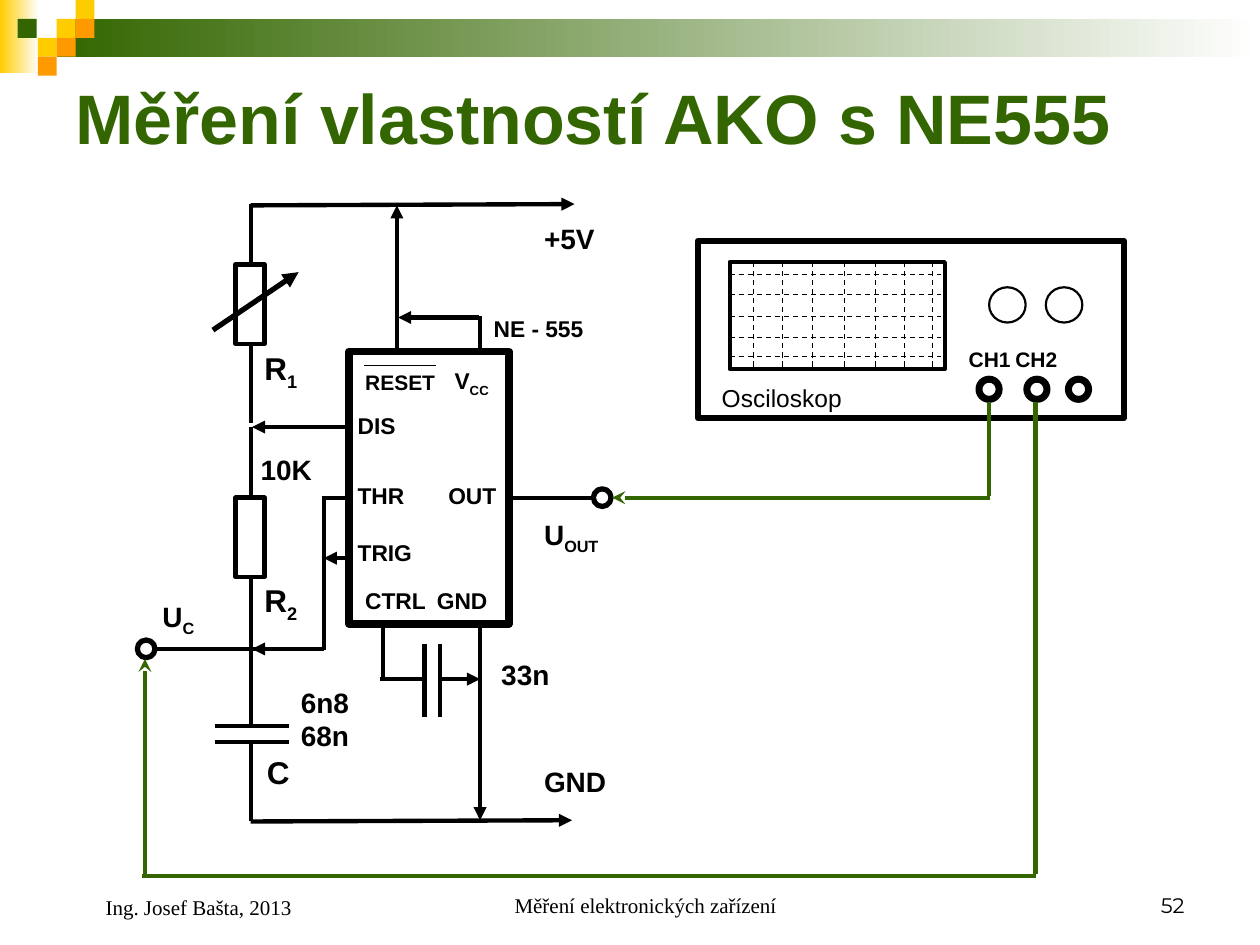
from lxml import etree
from pptx import Presentation
from pptx.dml.color import RGBColor
from pptx.enum.dml import MSO_LINE
from pptx.enum.shapes import MSO_CONNECTOR, MSO_SHAPE
from pptx.enum.text import MSO_ANCHOR as Anchor, PP_ALIGN as Align
from pptx.oxml.ns import qn
from pptx.util import Inches, Pt

rgb = RGBColor.from_string
BLACK, WHITE, GREEN, YELLOW, ORANGE = "000000", "FFFFFF", "336600", "FFCC00", "FF9900"
RECT, OVAL = MSO_SHAPE.RECTANGLE, MSO_SHAPE.OVAL

prs = Presentation()
prs.slide_width, prs.slide_height = Inches(10), Inches(7.5)
slide = prs.slides.add_slide(prs.slide_layouts[6])


def add_text(text, x, y, w, h, size=13, bold=True, font="Arial", color=BLACK,
             align=Align.LEFT, anchor=Anchor.TOP, indent=0):
    """Add a text box; an underscore starts a subscript, a newline breaks the line."""
    box = slide.shapes.add_textbox(Inches(x), Inches(y), Inches(w), Inches(h))
    frame = box.text_frame
    frame.word_wrap = True
    frame.vertical_anchor = anchor
    para = frame.paragraphs[0]
    para.alignment = align
    if indent:
        para._p.get_or_add_pPr().set("marL", str(Inches(indent)))
    for row, line in enumerate(text.split("\n")):
        if row:
            para.add_line_break()
        for level, part in enumerate(line.split("_")):
            run = para.add_run()
            run.text = part
            run.font.name, run.font.size, run.font.bold = font, Pt(size), bold
            run.font.color.rgb = rgb(color)
            if level:
                run._r.get_or_add_rPr().set("baseline", "-25000")


def add_wire(x1, y1, x2, y2, arrow=None, color=BLACK, width=2.5, dash=None):
    """Add a straight line, with an optional arrowhead at its end."""
    wire = slide.shapes.add_connector(
        MSO_CONNECTOR.STRAIGHT, Inches(x1), Inches(y1), Inches(x2), Inches(y2))
    wire.line.color.rgb = rgb(color)
    wire.line.width = Pt(width)
    if dash:
        wire.line.dash_style = dash
    if arrow:
        etree.SubElement(wire.line._get_or_add_ln(), qn("a:tailEnd"), type=arrow)
    etree.SubElement(wire._element.spPr, qn("a:effectLst"))


# Circuit wires
for x1, y1, x2, y2 in [
    (2.57, 3.95, 4.71, 3.95),  # THR and OUT
    (1.99, 1.62, 1.99, 3.36),  # through R1
    (1.99, 3.39, 1.99, 5.76),  # through R2
    (1.71, 5.76, 2.29, 5.76),  # capacitor C
    (1.71, 5.89, 2.29, 5.89),
    (1.99, 5.88, 1.99, 6.52),
    (2.57, 3.94, 2.57, 5.16),  # THR to TRIG
    (3.37, 5.11, 3.37, 5.69),  # capacitor 33n
    (3.49, 5.11, 3.49, 5.69),
    (3.37, 5.39, 3.02, 5.39),
    (3.04, 4.94, 3.04, 5.4),
    (1.21, 5.15, 2.04, 5.15),  # to the UC terminal
]:
    add_wire(x1, y1, x2, y2)

for x1, y1, x2, y2 in [
    (1.99, 1.63, 4.56, 1.62),  # +5V rail
    (1.99, 6.52, 4.54, 6.51),  # GND rail
    (3.81, 2.51, 3.81, 6.51),  # VCC and GND pins
    (3.8, 2.52, 3.16, 2.52),
    (3.15, 2.79, 3.15, 1.63),  # RESET
    (2.82, 3.39, 2, 3.39),     # DIS
    (2.85, 4.43, 2.57, 4.43),  # TRIG
    (2.57, 5.15, 2, 5.15),
    (3.48, 5.39, 3.81, 5.39),
]:
    add_wire(x1, y1, x2, y2, "triangle")

# Shapes: kind, left, top, width, height, fill (a pair is a gradient), outline width
shapes = [
    # Header bands
    (RECT, 0, 0, 0.31, 0.58, (YELLOW, WHITE), 0),
    (RECT, 0.45, 0.15, 9.55, 0.3, (GREEN, WHITE), 0),
    # Resistors and timer
    (RECT, 1.87, 2.1, 0.23, 0.63, WHITE, 2.5),
    (RECT, 1.87, 3.95, 0.23, 0.63, WHITE, 2.5),
    (RECT, 2.77, 2.79, 1.27, 2.16, WHITE, 4.5),
    # UC and UOUT terminals
    (OVAL, 1.09, 5.08, 0.14, 0.14, WHITE, 3),
    (OVAL, 4.71, 3.88, 0.14, 0.14, WHITE, 3),
    # Oscilloscope case, screen and knobs
    (RECT, 5.54, 1.91, 3.38, 1.41, None, 3.5),
    (RECT, 5.79, 2.08, 1.71, 0.85, None, 2.25),
    (OVAL, 7.85, 2.28, 0.29, 0.28, None, 1.25),
    (OVAL, 8.3, 2.28, 0.29, 0.28, None, 1.25),
]
# Header squares
shapes += [(RECT, x, y, 0.15, 0.15, color, 0) for x, y, color in [
    (0.45, 0.15, YELLOW), (0.6, 0, YELLOW), (0.6, 0.15, ORANGE), (0.3, 0.3, YELLOW),
    (0.14, 0.15, GREEN), (0.45, 0.3, ORANGE), (0.3, 0.45, ORANGE)]]
# Oscilloscope sockets
shapes += [(OVAL, x, 3.01, 0.16, 0.16, WHITE, 4) for x in (7.77, 8.15, 8.48)]

for kind, x, y, w, h, fill, outline in shapes:
    shape = slide.shapes.add_shape(kind, Inches(x), Inches(y), Inches(w), Inches(h))
    shape.shadow.inherit = False
    if fill is None:
        shape.fill.background()
    elif isinstance(fill, tuple):
        shape.fill.gradient()
        shape.fill.gradient_angle = 0
        for stop, color in zip(shape.fill.gradient_stops, fill):
            stop.color.rgb = rgb(color)
    else:
        shape.fill.solid()
        shape.fill.fore_color.rgb = rgb(fill)
    if outline:
        shape.line.color.rgb = rgb(BLACK)
        shape.line.width = Pt(outline)
    else:
        shape.line.fill.background()

# Arrow across the variable resistor and bar over RESET
add_wire(1.69, 2.62, 2.37, 2.16, "triangle", width=3)
add_wire(2.89, 2.9, 3.46, 2.9, width=0.75)

# Screen grid
for y in (2.18, 2.34, 2.51, 2.68, 2.83):
    add_wire(5.79, y, 7.47, y, width=0.75, dash=MSO_LINE.DASH)
for x in (5.98, 6.21, 6.45, 6.7, 6.95, 7.18, 7.4):
    add_wire(x, 2.08, x, 2.93, width=0.75, dash=MSO_LINE.DASH)

# Probe leads
for x1, y1, x2, y2, arrow in [
    (8.22, 3.19, 8.22, 6.94, None),
    (7.85, 3.19, 7.85, 3.94, None),
    (7.86, 3.95, 4.86, 3.95, "stealth"),
    (1.13, 6.95, 8.22, 6.95, None),
    (1.15, 6.96, 1.15, 5.23, "stealth"),
]:
    add_wire(x1, y1, x2, y2, arrow, GREEN)

# Labels
for text, x, y, w, h, size in [
    ("R_1", 2, 2.72, 0.7, 0.44, 18),
    ("R_2", 2, 4.56, 0.7, 0.44, 18),
    ("C", 2.02, 5.93, 0.7, 0.4, 18),
    ("10K", 1.97, 3.54, 0.7, 0.37, 16),
    ("33n", 3.88, 5.17, 0.7, 0.37, 16),
    ("6n8\n68n", 2.29, 5.39, 0.6, 0.64, 16),
    ("+5V", 4.22, 1.71, 0.7, 0.37, 16),
    ("GND", 4.22, 6.02, 0.7, 0.37, 16),
    ("U_OUT", 4.22, 4.06, 0.7, 0.41, 16),
    ("U_C", 1.19, 4.71, 0.52, 0.41, 16),
    ("NE - 555", 3.82, 2.45, 1.06, 0.32, 13),
    ("RESET", 2.8, 2.88, 0.8, 0.3, 12),
    ("V_CC", 3.51, 2.86, 0.6, 0.32, 13),
    ("DIS", 2.74, 3.22, 0.63, 0.32, 13),
    ("THR", 2.74, 3.77, 0.63, 0.32, 13),
    ("OUT", 3.46, 3.77, 0.63, 0.32, 13),
    ("TRIG", 2.74, 4.23, 0.71, 0.32, 13),
    ("CTRL", 2.8, 4.61, 0.75, 0.32, 13),
    ("GND", 3.37, 4.61, 0.7, 0.32, 13),
    ("CH1", 7.59, 2.7, 0.54, 0.3, 12),
    ("CH2", 7.96, 2.7, 0.54, 0.3, 12),
]:
    add_text(text, x, y, w, h, size)
add_text("Osciloskop", 5.63, 2.99, 1.17, 0.34, 14, bold=False)

# Title and footer
add_text("Měření vlastností AKO s NE555", 0.5, 0.5, 9, 0.85, 40, color=GREEN,
         anchor=Anchor.MIDDLE)
for text, x, w, h, font, align, indent in [
    ("Ing. Josef Bašta, 2013", 0.5, 2.33, 0.52, "Times New Roman", Align.LEFT, 0.24),
    ("Měření elektronických zařízení", 3.42, 3.17, 0.5, "Times New Roman", Align.CENTER, 0.24),
    ("52", 7.17, 2.33, 0.5, "Montserrat", Align.RIGHT, 0),
]:
    add_text(text, x, 6.83, w, h, 12, bold=False, font=font, align=align,
             anchor=Anchor.BOTTOM, indent=indent)

prs.save("out.pptx")
